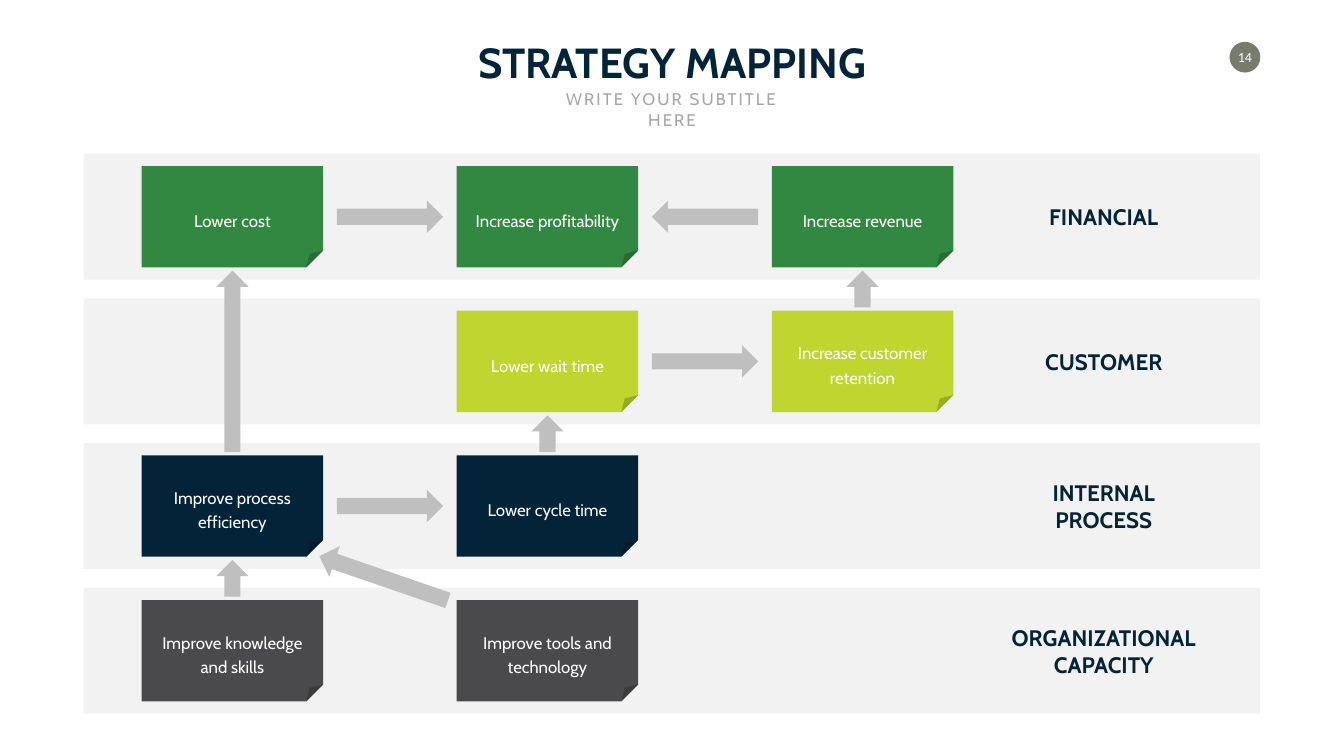
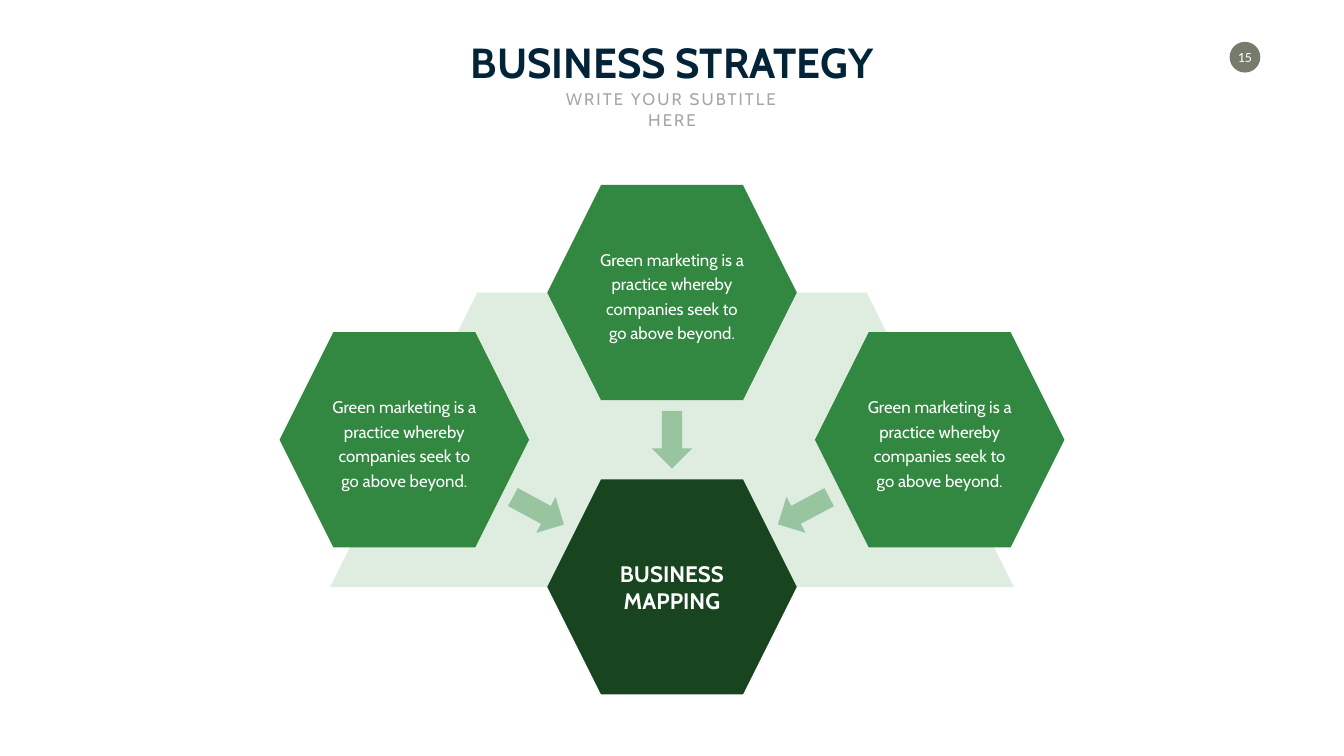
"""Build two strategy slides: a strategy map and a hexagon diagram."""
from dataclasses import dataclass

from lxml.etree import SubElement
from pptx import Presentation
from pptx.dml.color import RGBColor
from pptx.enum.shapes import MSO_SHAPE
from pptx.enum.text import MSO_ANCHOR, MSO_AUTO_SIZE, PP_ALIGN
from pptx.oxml.ns import qn
from pptx.util import Inches, Pt


@dataclass(frozen=True)
class Theme:
    """Colours, fonts and type sizes of the deck."""
    page: str = "FEFFFE"
    navy: str = "022338"
    green: str = "328840"
    forest: str = "194420"
    lime: str = "BED62F"
    charcoal: str = "4A4A4C"
    band: str = "F2F2F2"
    arrow: str = "BFBFBF"
    subtitle: str = "A6A6A6"
    badge: str = "767B6C"
    white: str = "FFFFFF"
    font: str = "Cabin"
    number_font: str = "Calibri"
    title_size: int = 60
    label_size: int = 32
    body_size: int = 24
    number_size: int = 20


T = Theme()
W, H = 26.66, 15
MID = W / 2


def write(s, text, *, size=T.body_size, color=T.white, font=T.font, bold=False,
          leading=None, tracking=None, anchor=MSO_ANCHOR.MIDDLE, wrap=True,
          insets=(0.1, 0.05, 0.1, 0.05)):
    """Fill a shape with centred text, one paragraph per line."""
    tf = s.text_frame
    tf.auto_size = MSO_AUTO_SIZE.NONE
    tf.word_wrap, tf.vertical_anchor = wrap, anchor
    tf.margin_left, tf.margin_top, tf.margin_right, tf.margin_bottom = map(Inches, insets)
    for i, line in enumerate(text.split("\n")):
        p = tf.add_paragraph() if i else tf.paragraphs[0]
        p.alignment = PP_ALIGN.CENTER
        if leading:
            p.line_spacing = Pt(leading)
        r = p.add_run()
        r.text = line
        r.font.name, r.font.size, r.font.bold = font, Pt(size), bold
        r.font.color.rgb = RGBColor.from_string(color)
        if tracking:
            r._r.get_or_add_rPr().set("spc", str(tracking * 100))


def paint(s, fill, *, opacity=100, rotation=0):
    """Give a shape a flat fill with no line or shadow."""
    s.shadow.inherit = False
    s.line.fill.background()
    s.fill.solid()
    s.fill.fore_color.rgb = RGBColor.from_string(fill)
    s.rotation = rotation
    if opacity < 100:
        color = s._element.spPr.find(qn("a:solidFill"))[0]
        SubElement(color, qn("a:alpha"), val=str(opacity * 1000))
    return s


prs = Presentation()
prs.slide_width, prs.slide_height = Inches(W), Inches(H)
background = prs.slide_master.background.fill
background.solid()
background.fore_color.rgb = RGBColor.from_string(T.page)

TITLE_W, SUBTITLE_W, BADGE = 8.76, 5.43, 0.61
slides = []
for number, heading in ((14, "STRATEGY MAPPING"), (15, "BUSINESS STRATEGY")):
    slide = prs.slides.add_slide(prs.slide_layouts[5])
    slides.append(slide)
    badge = slide.shapes.add_shape(
        MSO_SHAPE.OVAL, Inches(24.39), Inches(0.83), Inches(BADGE), Inches(BADGE))
    write(paint(badge, T.badge), str(number), size=T.number_size, font=T.number_font,
          wrap=False, insets=(0, 0, 0, 0))
    title = slide.shapes.title
    title.left, title.top = Inches(MID - TITLE_W / 2), Inches(0.67)
    title.width, title.height = Inches(TITLE_W), Inches(1.11)
    write(title, heading, size=T.title_size, color=T.navy, bold=True,
          anchor=MSO_ANCHOR.TOP)
    subtitle = slide.shapes.add_textbox(
        Inches(MID - SUBTITLE_W / 2), Inches(1.72), Inches(SUBTITLE_W), Inches(0.5))
    write(subtitle, "WRITE YOUR SUBTITLE HERE", color=T.subtitle, tracking=3,
          anchor=MSO_ANCHOR.TOP)

strategy_map, hexagon_map = (slide.shapes for slide in slides)

BAND_X, BAND_Y, BAND_W, BAND_H = 1.66, 3.05, 23.33, 2.5
CARD_X, CARD_W, CARD_H = 2.81, 3.6, 2.01
COL, ROW = 6.25, 2.87
CENTER_X, CENTER_Y = CARD_X + CARD_W / 2, BAND_Y + BAND_H / 2
FOLD = CARD_H / 6
LABEL_X, LABEL_W = 19.78, 4.23
LEADING = 35

bands = (
    ("FINANCIAL", T.green,
     ((0, "Lower cost"), (1, "Increase profitability"), (2, "Increase revenue"))),
    ("CUSTOMER", T.lime, ((1, "Lower wait time"), (2, "Increase customer retention"))),
    ("INTERNAL PROCESS", T.navy, ((0, "Improve process efficiency"), (1, "Lower cycle time"))),
    ("ORGANIZATIONAL CAPACITY", T.charcoal,
     ((0, "Improve knowledge and skills"), (1, "Improve tools and technology"))),
)
for row, (name, color, cards) in enumerate(bands):
    top = BAND_Y + row * ROW
    band = strategy_map.add_shape(
        MSO_SHAPE.RECTANGLE, Inches(BAND_X), Inches(top), Inches(BAND_W), Inches(BAND_H))
    paint(band, T.band)
    label = strategy_map.add_textbox(
        Inches(LABEL_X), Inches(top), Inches(LABEL_W), Inches(BAND_H))
    write(label, name, size=T.label_size, color=T.navy, bold=True)
    for col, text in cards:
        card = strategy_map.add_shape(
            MSO_SHAPE.FOLDED_CORNER, Inches(CARD_X + col * COL),
            Inches(top + (BAND_H - CARD_H) / 2), Inches(CARD_W), Inches(CARD_H))
        write(paint(card, color), text, leading=LEADING,
              insets=(0.37, FOLD + 0.07, 0.37, 0))

ARROW_H, LONG, SHORT = 0.64, 2.11, 0.73
LEFT, RIGHT = MSO_SHAPE.LEFT_ARROW, MSO_SHAPE.RIGHT_ARROW
arrows = (
    (RIGHT, 0.5, 0, LONG, 0), (LEFT, 1.5, 0, LONG, 0),
    (RIGHT, 1.5, 1, LONG, 0), (RIGHT, 0.5, 2, LONG, 0),
    (LEFT, 2, 0.5, SHORT, 90), (LEFT, 1, 1.5, SHORT, 90), (LEFT, 0, 2.5, SHORT, 90),
    (LEFT, 0, 1, CARD_W, 90), (LEFT, 0.48, 2.5, 2.7, 19),
)
for kind, col, row, length, rotation in arrows:
    arrow = strategy_map.add_shape(
        kind, Inches(CENTER_X + col * COL - length / 2),
        Inches(CENTER_Y + row * ROW - ARROW_H / 2), Inches(length), Inches(ARROW_H))
    paint(arrow, T.arrow, rotation=rotation)

HEX_W, HEX_H, HEX_TOP = 4.95, 4.27, 3.67
HEX_COL, HEX_ROW = 5.31, 2.92
BACK_TOP = HEX_TOP + HEX_H / 2
BACK_BOTTOM = BACK_TOP + 2 * HEX_ROW
backdrop = strategy_map = hexagon_map.build_freeform(
    Inches(MID - 3.86), Inches(BACK_TOP), scale=1.0)
backdrop.add_line_segments(
    [(Inches(MID + 3.86), Inches(BACK_TOP)), (Inches(MID + 6.78), Inches(BACK_BOTTOM)),
     (Inches(MID - 6.78), Inches(BACK_BOTTOM))], close=True)
paint(backdrop.convert_to_shape(), T.green, opacity=15)

practice = "Green marketing is a practice whereby companies seek to go above beyond."
body = dict(leading=LEADING, insets=(0.21, 0.07, 0.21, 0))
hub = dict(size=T.label_size, bold=True, wrap=False)
hexagons = (
    (0, 2, T.forest, "BUSINESS\nMAPPING", hub),
    (0, 0, T.green, practice, body),
    (1, 1, T.green, practice, body),
    (-1, 1, T.green, practice, body),
)
for col, row, color, text, style in hexagons:
    hexagon = hexagon_map.add_shape(
        MSO_SHAPE.HEXAGON, Inches(MID + col * HEX_COL - HEX_W / 2),
        Inches(HEX_TOP + row * HEX_ROW), Inches(HEX_W), Inches(HEX_H))
    write(paint(hexagon, color), text, **style)

POINTER_W, POINTER_H = 0.81, 1.15
for offset, top, rotation in ((0, 8.15, 0), (-2.65, 9.56, 298.4), (2.61, 9.56, 62)):
    pointer = hexagon_map.add_shape(
        MSO_SHAPE.DOWN_ARROW, Inches(MID + offset - POINTER_W / 2), Inches(top),
        Inches(POINTER_W), Inches(POINTER_H))
    paint(pointer, T.green, opacity=40, rotation=rotation)

prs.save("out.pptx")
